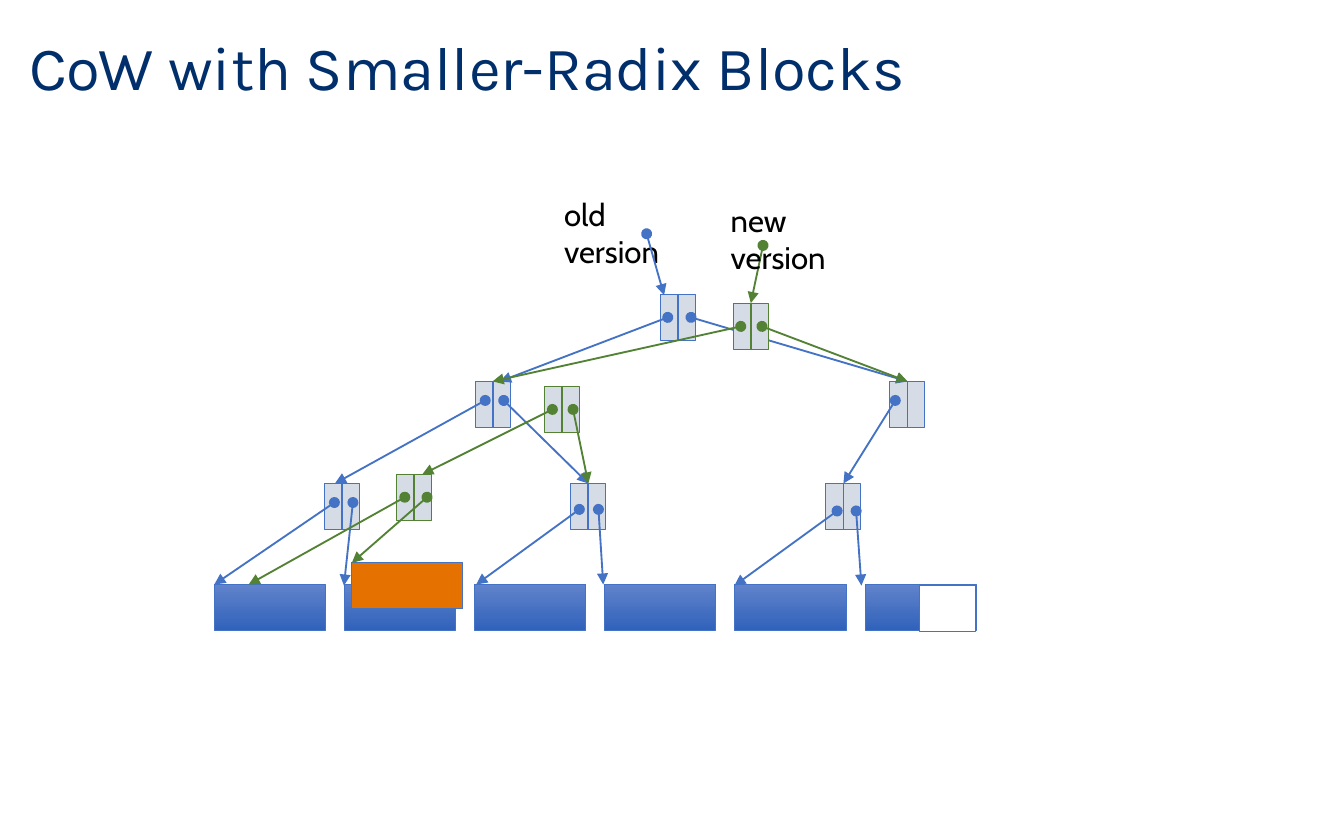
from dataclasses import dataclass
from typing import Optional, Union

from lxml.etree import SubElement
from pptx import Presentation
from pptx.dml.color import RGBColor
from pptx.enum.shapes import MSO_CONNECTOR as Connector, MSO_SHAPE as ShapeKind
from pptx.enum.text import MSO_ANCHOR as Anchor
from pptx.oxml.ns import qn
from pptx.shapes.autoshape import Shape
from pptx.shapes.connector import Connector as Line
from pptx.slide import Slide
from pptx.util import Cm, Pt


@dataclass(frozen=True)
class Theme:
    title_font: str = "Karla"
    label_font: str = "Cabin"
    title_size: float = 33
    label_size: float = 16.7
    title: str = "002F6C"
    text: str = "000000"
    old: str = "4472C4"
    new: str = "548235"
    node: str = "D6DCE5"
    changed: str = "E57200"
    empty: str = "FFFFFF"
    leaf: tuple[str, str] = ("6183CB", "3062BB")
    outline: float = 0.5
    stroke: float = 1


@dataclass(frozen=True)
class Node:
    name: str
    left: float
    top: float


@dataclass(frozen=True)
class Arrow:
    """Ends at a point, or at the top middle of the named node."""
    start: tuple[float, float]
    target: Union[tuple[float, float], str]


THEME = Theme()
NODE_WIDTH, BLOCK_HEIGHT = 0.66, 0.87
LEAF_LEFT, LEAF_TOP, LEAF_WIDTH, LEAF_PITCH, LEAF_COUNT = 4.05, 11.05, 2.1, 2.46, 6

OLD_NODES = [
    Node("old root", 12.49, 5.56),
    Node("left", 8.98, 7.21),
    Node("right", 16.82, 7.21),
    Node("left 1", 6.14, 9.14),
    Node("left 2", 10.79, 9.14),
    Node("right 1", 15.61, 9.14),
]
NEW_NODES = [
    Node("new left 1", 7.49, 8.97),
    Node("new left", 10.29, 7.31),
    Node("new root", 13.86, 5.73),
]
OLD_ARROWS = [
    Arrow((12.22, 4.42), (12.55, 5.58)),
    Arrow((12.62, 6.0), (9.45, 7.21)),
    Arrow((13.06, 6.0), "right"),
    Arrow((9.17, 7.57), (6.33, 9.14)),
    Arrow((9.52, 7.57), "left 2"),
    Arrow((16.92, 7.57), "right 1"),
    Arrow((6.32, 9.5), (4.05, 11.05)),
    Arrow((6.67, 9.5), (6.5, 11.07)),
    Arrow((10.95, 9.63), (9.0, 11.05)),
    Arrow((11.31, 9.63), (11.4, 11.05)),
    Arrow((15.82, 9.66), (13.88, 11.07)),
    Arrow((16.18, 9.66), (16.28, 11.07)),
]
NEW_ARROWS = [
    Arrow((14.42, 4.64), "new root"),
    Arrow((14.0, 6.17), "left"),
    Arrow((14.4, 6.17), "right"),
    Arrow((10.44, 7.74), (7.98, 8.97)),
    Arrow((10.83, 7.74), "left 2"),
    Arrow((7.65, 9.4), (4.7, 11.05)),
    Arrow((8.07, 9.4), (6.65, 10.64)),
]


def color(value: str) -> RGBColor:
    return RGBColor.from_string(value)


def add_text(slide: Slide, text: str, *, left: float, top: float, width: float,
             height: float, font: str, size: float, ink: str,
             anchor: Anchor = Anchor.TOP, spacing: Optional[float] = None) -> None:
    box = slide.shapes.add_textbox(Cm(left), Cm(top), Cm(width), Cm(height))
    frame = box.text_frame
    frame.word_wrap = True
    frame.vertical_anchor = anchor
    paragraph = frame.paragraphs[0]
    paragraph.text = text
    paragraph.line_spacing = spacing
    paragraph.font.name = font
    paragraph.font.size = Pt(size)
    paragraph.font.color.rgb = color(ink)


def add_label(slide: Slide, text: str, left: float, top: float, width: float) -> None:
    add_text(slide, text, left=left, top=top, width=width, height=0.97,
             font=THEME.label_font, size=THEME.label_size, ink=THEME.text)


def add_block(slide: Slide, left: float, top: float, width: float,
              fill: Union[str, tuple[str, str]], line: str = THEME.old) -> Shape:
    """A pair of fill colours gives a gradient from top to bottom."""
    block = slide.shapes.add_shape(
        ShapeKind.RECTANGLE, Cm(left), Cm(top), Cm(width), Cm(BLOCK_HEIGHT))
    block.shadow.inherit = False
    if isinstance(fill, tuple):
        block.fill.gradient()
        block.fill.gradient_angle = 270
        for stop, value in zip(block.fill.gradient_stops, fill):
            stop.color.rgb = color(value)
    else:
        block.fill.solid()
        block.fill.fore_color.rgb = color(fill)
    block.line.color.rgb = color(line)
    block.line.width = Pt(THEME.outline)
    return block


def add_line(slide: Slide, start: tuple[float, float], end: tuple[float, float],
             ink: str) -> Line:
    line = slide.shapes.add_connector(
        Connector.STRAIGHT, *(Cm(value) for value in (*start, *end)))
    line.line.color.rgb = color(ink)
    line.line.width = Pt(THEME.stroke)
    SubElement(line.element.spPr, qn("a:effectLst"))
    return line


def add_node(slide: Slide, node: Node, ink: str) -> Shape:
    block = add_block(slide, node.left, node.top, NODE_WIDTH, THEME.node, ink)
    middle = node.left + NODE_WIDTH / 2
    divider = add_line(slide, (middle, node.top), (middle, node.top + BLOCK_HEIGHT), ink)
    divider.begin_connect(block, 0)
    divider.end_connect(block, 2)
    return block


def add_arrow(slide: Slide, arrow: Arrow, blocks: dict[str, Shape], ink: str) -> None:
    joined = isinstance(arrow.target, str)
    line = add_line(slide, arrow.start, arrow.start if joined else arrow.target, ink)
    if joined:
        line.end_connect(blocks[arrow.target], 0)
    outline = line.line._get_or_add_ln()
    SubElement(outline, qn("a:headEnd"), type="oval")
    SubElement(outline, qn("a:tailEnd"), type="triangle")


def main() -> None:
    presentation = Presentation()
    presentation.slide_width, presentation.slide_height = Cm(25.4), Cm(15.88)
    slide = presentation.slides.add_slide(presentation.slide_layouts[6])

    add_text(slide, "CoW with Smaller-Radix Blocks", left=0.3, top=0.25, width=21.64,
             height=2.18, font=THEME.title_font, size=THEME.title_size,
             ink=THEME.title, anchor=Anchor.MIDDLE, spacing=0.9)

    # Data blocks, the last one half empty
    for index in range(LEAF_COUNT):
        add_block(slide, LEAF_LEFT + index * LEAF_PITCH, LEAF_TOP, LEAF_WIDTH, THEME.leaf)
    add_block(slide, 17.38, 11.07, LEAF_WIDTH / 2, THEME.empty)

    # Old version of the tree
    blocks = {node.name: add_node(slide, node, THEME.old) for node in OLD_NODES}
    add_label(slide, "old version", 10.41, 3.56, 2.8)
    for arrow in OLD_ARROWS:
        add_arrow(slide, arrow, blocks, THEME.old)

    # New version: the changed block and the copied nodes above it
    add_block(slide, 6.65, 10.64, LEAF_WIDTH, THEME.changed)
    for node in NEW_NODES:
        blocks[node.name] = add_node(slide, node, THEME.new)
    for arrow in NEW_ARROWS:
        add_arrow(slide, arrow, blocks, THEME.new)
    add_label(slide, "new version", 13.56, 3.68, 3.0)

    presentation.save("out.pptx")


if __name__ == "__main__":
    main()
